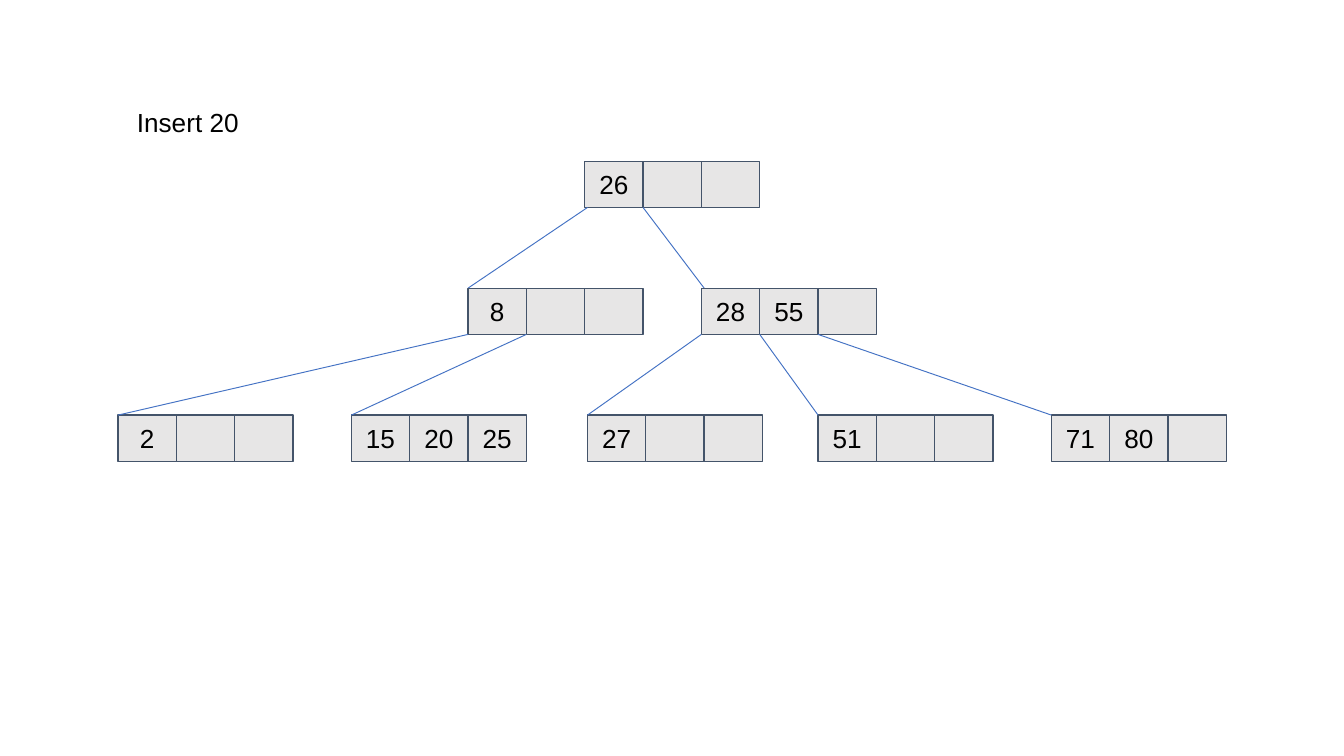
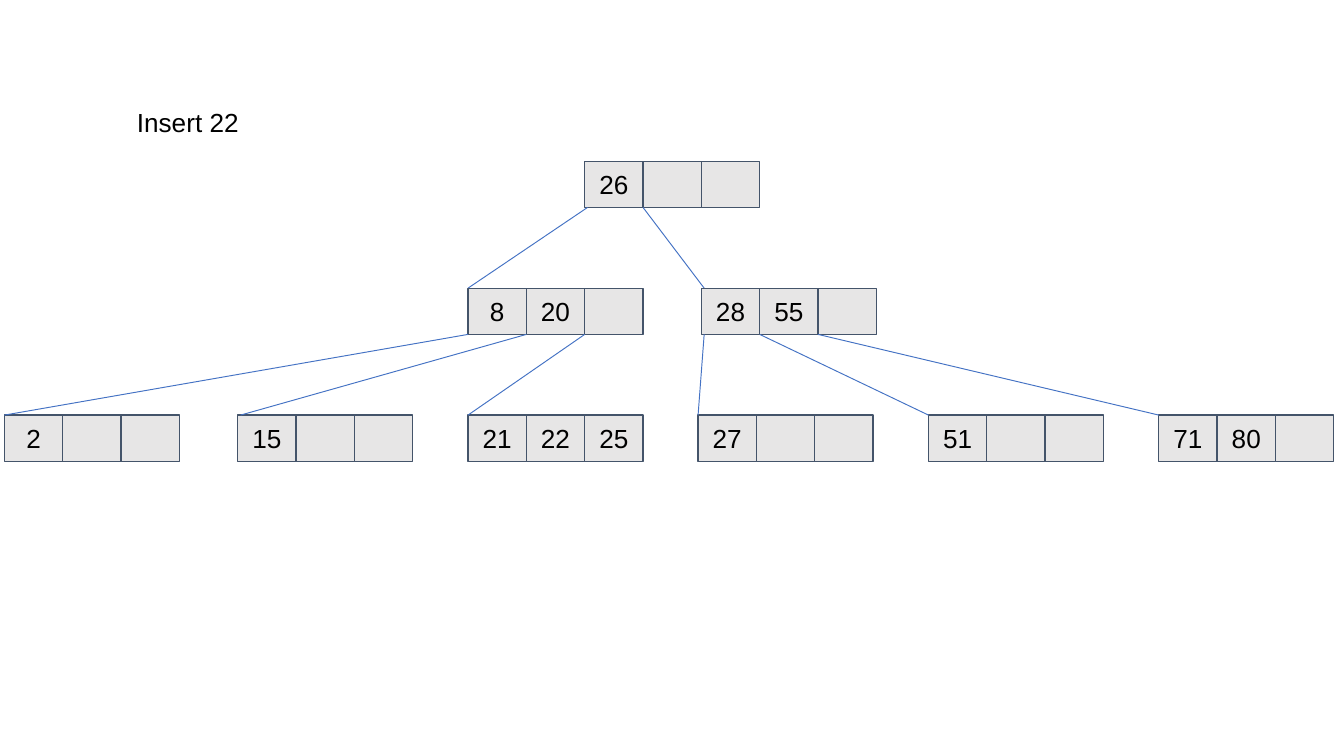
import pptx
import pptx.dml.color
import pptx.enum.shapes
import pptx.enum.text
import pptx.oxml.xmlchemy
import pptx.util

Pt = pptx.util.Pt
COLORS = {"fill": "E7E6E6", "border": "44546A", "link": "4472C4", "text": "000000"}
CELL_W, CELL_H = 31.25, 24.75
SLOTS = 3
TOP, LEVEL_STEP = 86.4, 68
ROOT_X = 313.25
LEFT_X, RIGHT_X = ROOT_X - 2 * CELL_W, ROOT_X + 2 * CELL_W
NUDGE = 1.5


def rgb(name):
    """Return the named colour."""
    return pptx.dml.color.RGBColor.from_string(COLORS[name])


class TreeSlide:
    """Style of the tree slides, and the slide being drawn."""

    font, size = "Arial", 14

    def __init__(self, prs):
        """Add a blank slide."""
        self.s = prs.slides.add_slide(prs.slide_layouts[6])

    def style(self, p):
        """Format the runs of a paragraph."""
        for r in p.runs:
            r.font.name, r.font.size = self.font, Pt(self.size)
            r.font.color.rgb = rgb("text")

    def caption(self, text):
        """Write the operation above the tree."""
        sp = self.s.shapes.add_textbox(Pt(66.25), Pt(53.3), Pt(69), Pt(24.5))
        tf = sp.text_frame
        tf.text = text
        tf.word_wrap = False
        tf.auto_size = pptx.enum.text.MSO_AUTO_SIZE.SHAPE_TO_FIT_TEXT
        self.style(tf.paragraphs[0])

    def cell(self, x, y, text):
        """Draw one key slot."""
        sp = self.s.shapes.add_shape(pptx.enum.shapes.MSO_SHAPE.RECTANGLE,
                                     Pt(x), Pt(y), Pt(CELL_W), Pt(CELL_H))
        sp.shadow.inherit = False
        sp.fill.solid()
        sp.fill.fore_color.rgb = rgb("fill")
        sp.line.color.rgb = rgb("border")
        sp.line.width = Pt(0.75)
        if text:
            tf = sp.text_frame
            tf.text = text
            tf.vertical_anchor = pptx.enum.text.MSO_ANCHOR.MIDDLE
            tf.margin_left = tf.margin_right = Pt(7.2)
            tf.margin_top = tf.margin_bottom = Pt(7.2)
            tf.paragraphs[0].alignment = pptx.enum.text.PP_ALIGN.CENTER
            self.style(tf.paragraphs[0])

    def node(self, level, x, keys):
        """Draw a node with its keys and the slots left free."""
        for i in range(SLOTS):
            self.cell(x + i * CELL_W, TOP + level * LEVEL_STEP,
                      keys[i] if i < len(keys) else "")

    def link(self, level, x, slot, child_x, start=0, end=0):
        """Join the left edge of a slot to the child one level down."""
        y = TOP + level * LEVEL_STEP
        line = self.s.shapes.add_connector(
            pptx.enum.shapes.MSO_CONNECTOR.STRAIGHT,
            Pt(x + slot * CELL_W + start), Pt(y + CELL_H),
            Pt(child_x + end), Pt(y + LEVEL_STEP))
        line.line.color.rgb = rgb("link")
        line.line.width = Pt(0.5)
        line._element.spPr.append(
            pptx.oxml.xmlchemy.OxmlElement("a:effectLst"))

    def tree(self, left, right, nudges):
        """Draw the tree; each branch is its keys and its (x, keys) leaves.

        nudges maps a leaf's first key to its link's start and end offsets.
        """
        self.node(0, ROOT_X, ["26"])
        self.link(0, ROOT_X, 0, LEFT_X, start=NUDGE)
        self.link(0, ROOT_X, 1, RIGHT_X, end=NUDGE)
        for x, (keys, leaves) in ((LEFT_X, left), (RIGHT_X, right)):
            self.node(1, x, keys)
            for slot, (leaf_x, leaf_keys) in enumerate(leaves):
                self.node(2, leaf_x, leaf_keys)
                self.link(1, x, slot, leaf_x, *nudges.get(leaf_keys[0], (0, 0)))


def main():
    """Build the two insertion slides."""
    prs = pptx.Presentation()
    prs.slide_width, prs.slide_height = Pt(720), Pt(405)

    slides = [
        ("Insert 20",
         (["8"], [(63.25, ["2"]), (188.25, ["15", "20", "25"])]),
         (["28", "55"], [(314.75, ["27"]), (438.25, ["51"]), (563.25, ["71", "80"])]),
         {}),
        ("Insert 22",
         (["8", "20"], [(2.4, ["2"]), (127.4, ["15"]), (LEFT_X, ["21", "22", "25"])]),
         (["28", "55"], [(374, ["27"]), (497.4, ["51"]), (620.8, ["71", "80"])]),
         {"15": (0, NUDGE), "27": (NUDGE, 0)}),
    ]
    for caption, left, right, nudges in slides:
        slide = TreeSlide(prs)
        slide.caption(caption)
        slide.tree(left, right, nudges)

    prs.save("out.pptx")


main()
